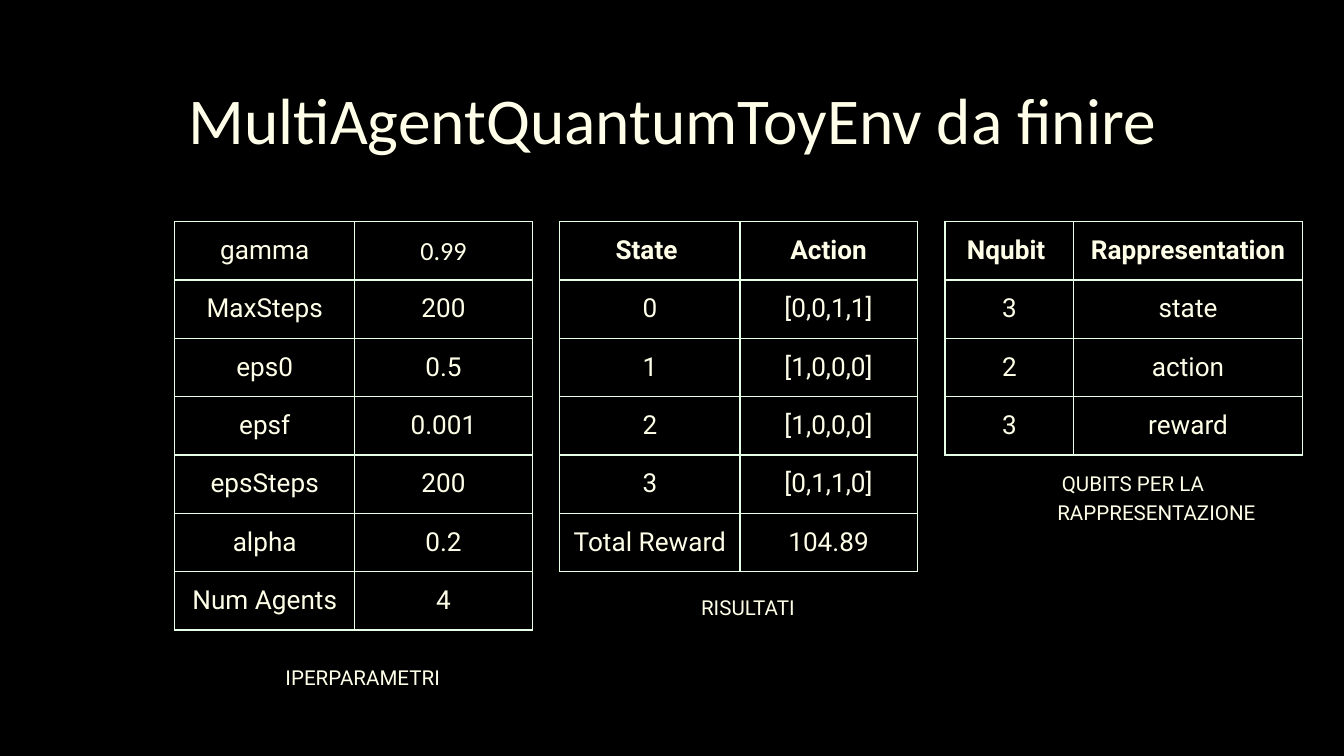
from lxml.etree import SubElement
from pptx import Presentation
from pptx.dml.color import RGBColor
from pptx.enum.text import PP_ALIGN
from pptx.oxml import parse_xml
from pptx.oxml.ns import nsdecls, qn
from pptx.util import Pt

INK, LINE, BACK = "FFFFE9", "E6FFE6", "000000"
TITLE = "MultiAgentQuantumToyEnv da finire"
TABLES = [
    dict(caption="IPERPARAMETRI", top=347, cols=(96.5, 95), head=False, rows=[
        ("gamma", "0.99"), ("MaxSteps", "200"), ("eps0", "0.5"),
        ("epsf", "0.001"), ("epsSteps", "200"), ("alpha", "0.2"),
        ("Num Agents", "4")]),
    dict(caption="RISULTATI", top=309.6, cols=(96.5, 95), head=True, rows=[
        ("State ", "Action"), ("0", "[0,0,1,1]"), ("1", "[1,0,0,0]"),
        ("2", "[1,0,0,0]"), ("3", "[0,1,1,0]"), ("Total Reward", "104.89")]),
    dict(caption="QUBITS PER LA RAPPRESENTAZIONE", top=243.4, cols=(69.1, 122.4),
         head=True, rows=[("Nqubit ", "Rappresentation"), ("3", "state"),
                          ("2", "action"), ("3", "reward")]),
]
LEFT, TOP, STEP, ROW, PAD = 93.6, 118.8, 206.3, 31.1, 7.2


def color(code):
    return RGBColor.from_string(code)


def write(frame, text, size=14, font="Roboto", bold=False, hang=False):
    """Put one centred paragraph in a text frame, with a hanging indent if asked."""
    para = frame.paragraphs[0]
    para.alignment = PP_ALIGN.CENTER
    run = para.add_run()
    run.text = text
    run.font.size, run.font.name, run.font.bold = Pt(size), font, bold
    run.font.color.rgb = color(INK)
    if hang:
        para.line_spacing = 1.15
        props = para._p.get_or_add_pPr()
        props.set("marL", str(Pt(36)))
        props.set("indent", str(Pt(-25.2)))


def pad(box):
    box.margin_left = box.margin_right = Pt(PAD)
    box.margin_top = box.margin_bottom = Pt(PAD)


def label(slide, text, x, y, w, h, **style):
    frame = slide.shapes.add_textbox(Pt(x), Pt(y), Pt(w), Pt(h)).text_frame
    frame.word_wrap = True
    pad(frame)
    write(frame, text, **style)


def border(cell):
    props = cell._tc.get_or_add_tcPr()
    for spot, side in enumerate(("lnL", "lnR", "lnT", "lnB")):
        line = parse_xml(f'<a:{side} {nsdecls("a")} w="{Pt(0.75)}"/>')
        fill = SubElement(line, qn("a:solidFill"))
        SubElement(fill, qn("a:srgbClr")).set("val", LINE)
        props.insert(spot, line)


def grid(slide, x, cols, rows, head):
    table = slide.shapes.add_table(len(rows), len(cols), Pt(x), Pt(TOP),
                                   Pt(sum(cols)), Pt(ROW * len(rows))).table
    table.first_row = head
    table.horz_banding = False
    for col, width in zip(table.columns, cols):
        col.width = Pt(width)
    for r, row in enumerate(rows):
        table.rows[r].height = Pt(ROW)
        for c, text in enumerate(row):
            cell = table.cell(r, c)
            pad(cell)
            cell.fill.background()
            border(cell)
            font = "Calibri" if text == "0.99" else "Roboto"
            write(cell.text_frame, text, font=font, bold=head and r == 0)


def main():
    deck = Presentation()
    deck.slide_width, deck.slide_height = Pt(720), Pt(405)
    slide = deck.slides.add_slide(deck.slide_layouts[6])
    slide.background.fill.solid()
    slide.background.fill.fore_color.rgb = color(BACK)
    label(slide, TITLE, 56.9, 35.3, 607, 45.4, size=35, font="Calibri")
    for i, part in enumerate(TABLES):
        x = LEFT + i * STEP
        grid(slide, x, part["cols"], part["rows"], part["head"])
        label(slide, part["caption"], x - 4.3, part["top"], 199.4, 45.4,
              size=11, hang=True)
    deck.save("out.pptx")


if __name__ == "__main__":
    main()
